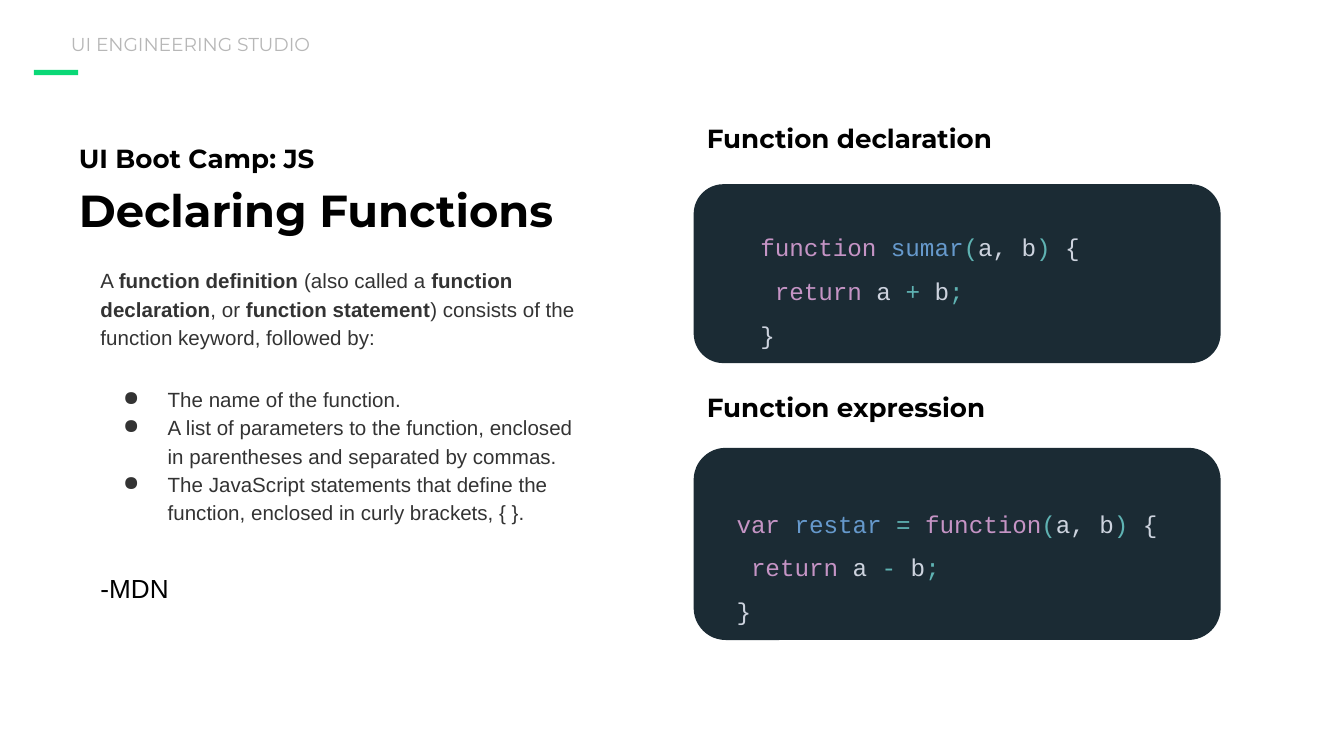
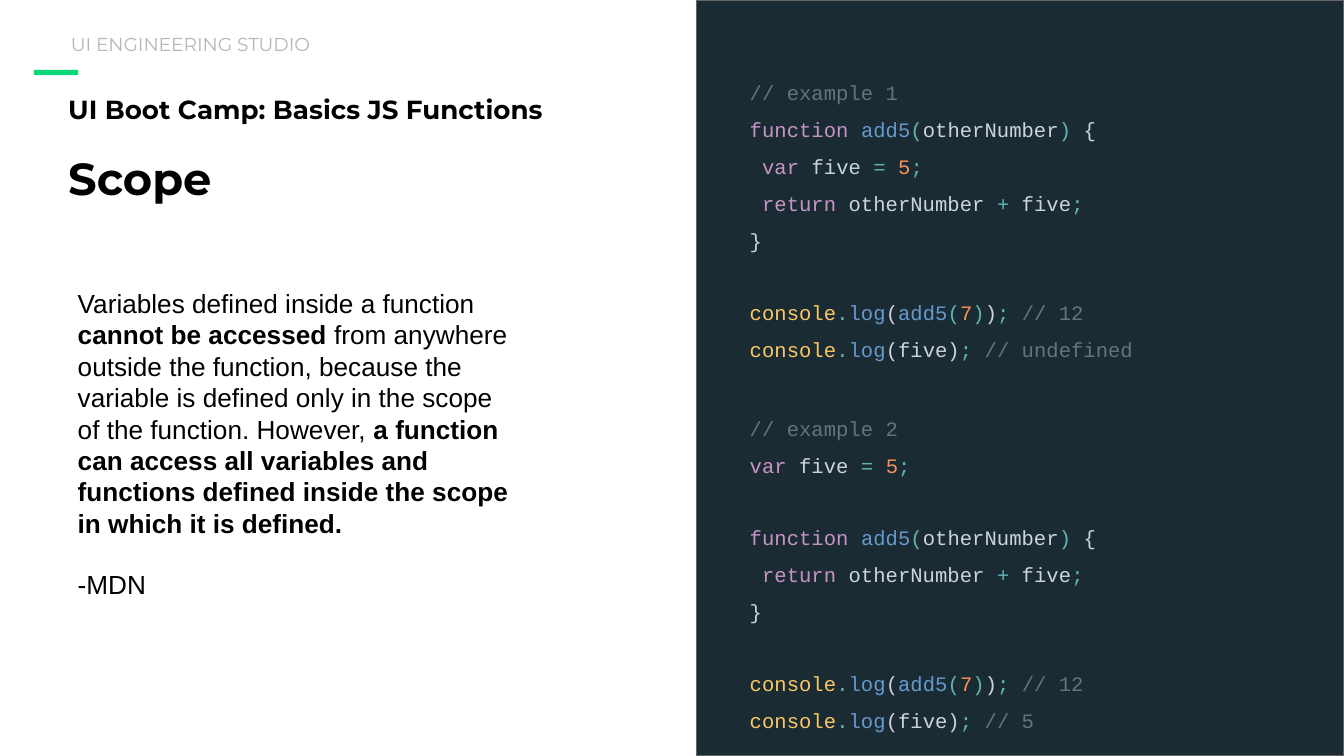
from lxml.etree import SubElement
from pptx import Presentation
from pptx.dml.color import RGBColor
from pptx.enum.shapes import MSO_SHAPE as SHAPE
from pptx.enum.text import MSO_ANCHOR as ANCHOR
from pptx.oxml.ns import qn
from pptx.util import Cm, Pt

BLACK, WHITE, GREY, BODY = "000000", "FFFFFF", "B7B7B7", "333333"
GREEN, NAVY, EDGE = "0AD876", "1B2B34", "666666"
KEYWORD, NAME, SIGN, PLAIN = "C594C5", "6699CC", "5FB3B3", "CDD3DE"
NUMBER, OBJECT, COMMENT = "F99157", "FAC863", "65737E"
TITLE_FONT, BODY_FONT, CODE_FONT = "Montserrat", "Arial", "Courier New"
BOLD = "bold"

STUDIO = "UI ENGINEERING STUDIO"
SOURCE = "-MDN"

DEFINITION = [
    "A ", ("function definition", BOLD), " (also called a ",
    ("function declaration", BOLD), ", or ", ("function statement", BOLD),
    ") consists of the function keyword, followed by:",
]
PARTS = [
    "The name of the function.",
    "A list of parameters to the function, enclosed in parentheses and separated by commas.",
    "The JavaScript statements that define the function, enclosed in curly brackets, { }.",
]
SCOPE = [
    "Variables defined inside a function ", ("cannot be accessed", BOLD),
    " from anywhere outside the function, because the variable is defined only"
    " in the scope of the function. However, ",
    ("a function can access all variables and functions defined inside the scope"
     " in which it is defined.", BOLD),
]


def call_end(args):
    return [("(", SIGN), (args, PLAIN), (")", SIGN), " {"]


def return_line(left, sign, right):
    return [(" return", KEYWORD), f" {left}", (f" {sign}", SIGN), f" {right}", (";", SIGN)]


def var_line(keyword, name):
    return [(keyword, KEYWORD), name, (" = ", SIGN), ("5", NUMBER), (";", SIGN)]


def log_line(args, note):
    return [("console", OBJECT), (".", SIGN), ("log", NAME), *args,
            (";", SIGN), (f" // {note}", COMMENT)]


END = ["}"]
ADD5 = [("function ", KEYWORD), ("add5", NAME), *call_end("otherNumber")]
ADD5_RETURN = return_line("otherNumber", "+", "five")
LOG_ADD5 = log_line(["(", ("add5", NAME), ("(", SIGN), ("7", NUMBER), (")", SIGN), ")"], "12")

DECLARATION = [
    [("function ", KEYWORD), ("sumar", NAME), *call_end("a, b")],
    return_line("a", "+", "b"),
    END,
]
EXPRESSION = [
    [("var ", KEYWORD), ("restar ", NAME), ("= ", SIGN), ("function", KEYWORD),
     *call_end("a, b")],
    return_line("a", "-", "b"),
    END,
]
EXAMPLE_1 = [
    [[("// example 1", COMMENT)], ADD5, var_line(" var ", "five"), ADD5_RETURN, END],
    [LOG_ADD5, log_line(["(five)"], "undefined")],
]
EXAMPLE_2 = [
    [[("// example 2", COMMENT)], var_line("var", " five")],
    [ADD5, ADD5_RETURN, END],
    [LOG_ADD5, log_line(["(five)"], "5")],
]

CARD_X, CARD_W = 13.11, 9.96
CARDS = [
    ("Function declaration", 1.98, (3.48, 3.38), DECLARATION, (14.12, 3.78, 8.33, 3.15)),
    ("Function expression", 7.06, (8.46, 3.63), EXPRESSION, (13.67, 9.37, 9.25, 2.41)),
]
EXAMPLES = [
    (EXAMPLE_1, (13.92, 1.14, 8.33, 5.82)),
    (EXAMPLE_2, (13.92, 8.2, 8.33, 5.05)),
]


def rgb(value):
    return RGBColor.from_string(value)


def add_box(s, kind, at, fill, line=None):
    sp = s.shapes.add_shape(kind, *map(Cm, at))
    sp.shadow.inherit = False
    sp.fill.solid()
    sp.fill.fore_color.rgb = rgb(fill)
    if line:
        sp.line.color.rgb = rgb(line)
        sp.line.width = Pt(0.75)
    else:
        sp.line.fill.background()


def add_bullet(p, color):
    pPr = p._p.get_or_add_pPr()
    pPr.set("marL", str(Cm(1.27)))
    pPr.set("indent", str(-Cm(0.84)))
    SubElement(SubElement(pPr, qn("a:buClr")), qn("a:srgbClr"), val=color)
    SubElement(pPr, qn("a:buChar"), char="●")


def add_text(s, at, paragraphs, anchor=ANCHOR.TOP, **common):
    tf = s.shapes.add_textbox(*map(Cm, at)).text_frame
    tf.word_wrap = True
    tf.vertical_anchor = anchor
    tf.margin_left = tf.margin_right = tf.margin_top = tf.margin_bottom = Cm(0.25)
    for i, (runs, own) in enumerate(paragraphs):
        fmt = {"spacing": 1.15, "color": BLACK, "bold": False, "before": 0, **common, **own}
        p = tf.paragraphs[0] if i == 0 else tf.add_paragraph()
        p.line_spacing = fmt["spacing"]
        p.space_before = Pt(fmt["before"])
        if fmt.get("bullet"):
            add_bullet(p, fmt["color"])
        for run in [runs] if isinstance(runs, str) else runs:
            text, style = (run, None) if isinstance(run, str) else run
            r = p.add_run()
            r.text = text
            r.font.name = fmt["font"]
            r.font.size = Pt(fmt["size"])
            r.font.bold = fmt["bold"] or style == BOLD
            r.font.color.rgb = rgb(fmt["color"] if style in (None, BOLD) else style)


def add_code(s, at, blocks, size):
    blank_line = round(size * 1.7, 1)
    paragraphs = [
        (line, {"before": blank_line if b and not i else 0})
        for b, block in enumerate(blocks) for i, line in enumerate(block)
    ]
    add_text(s, at, paragraphs, anchor=ANCHOR.MIDDLE, font=CODE_FONT, size=size,
             color=PLAIN, spacing=1.5)


def add_title(s, x, y, course, title, gap):
    add_text(s, (x, y, 11.66, 2.41), [(course, {}), (title, {"size": 24, "before": gap})],
             font=TITLE_FONT, size=14, bold=True)


def new_slide(prs):
    s = prs.slides.add_slide(prs.slide_layouts[6])
    s.background.fill.solid()
    s.background.fill.fore_color.rgb = rgb(WHITE)
    add_box(s, SHAPE.RECTANGLE, (0.64, 1.32, 0.84, 0.1), GREEN)
    add_text(s, (1.09, 0.48, 9.6, 0.66), [(STUDIO, {})], anchor=ANCHOR.MIDDLE,
             font=TITLE_FONT, size=10, color=GREY)
    return s


def build_declaring(prs):
    s = new_slide(prs)
    add_title(s, 1.24, 2.36, "UI Boot Camp: JS", "Declaring Functions", 0)
    parts = [(part, {"bullet": True, "before": 0 if i else 18}) for i, part in enumerate(PARTS)]
    source = (SOURCE, {"size": 14, "color": BLACK, "before": 23})
    add_text(s, (1.65, 4.75, 9.6, 7.16), [(DEFINITION, {}), *parts, source],
             font=BODY_FONT, size=11, color=BODY)
    for heading, heading_y, (card_y, card_h), code, code_at in CARDS:
        add_text(s, (CARD_X, heading_y, 6.25, 1.3), [(heading, {})],
                 font=TITLE_FONT, size=14, bold=True)
        add_box(s, SHAPE.ROUNDED_RECTANGLE, (CARD_X, card_y, CARD_W, card_h), NAVY)
        add_code(s, code_at, [code], 13)


def build_scope(prs):
    s = new_slide(prs)
    add_box(s, SHAPE.RECTANGLE, (13.16, 0, 12.24, 14.28), NAVY, EDGE)
    add_title(s, 1.04, 1.42, "UI Boot Camp: Basics JS Functions", "Scope", 10)
    add_text(s, (1.22, 5.18, 8.86, 5.05), [(SCOPE, {}), (SOURCE, {"before": 16})],
             font=BODY_FONT, size=14, spacing=1.0)
    for blocks, at in EXAMPLES:
        add_code(s, at, blocks, 11)


def main():
    prs = Presentation()
    prs.slide_width, prs.slide_height = Cm(25.4), Cm(14.28)
    build_declaring(prs)
    build_scope(prs)
    prs.save("out.pptx")


if __name__ == "__main__":
    main()
